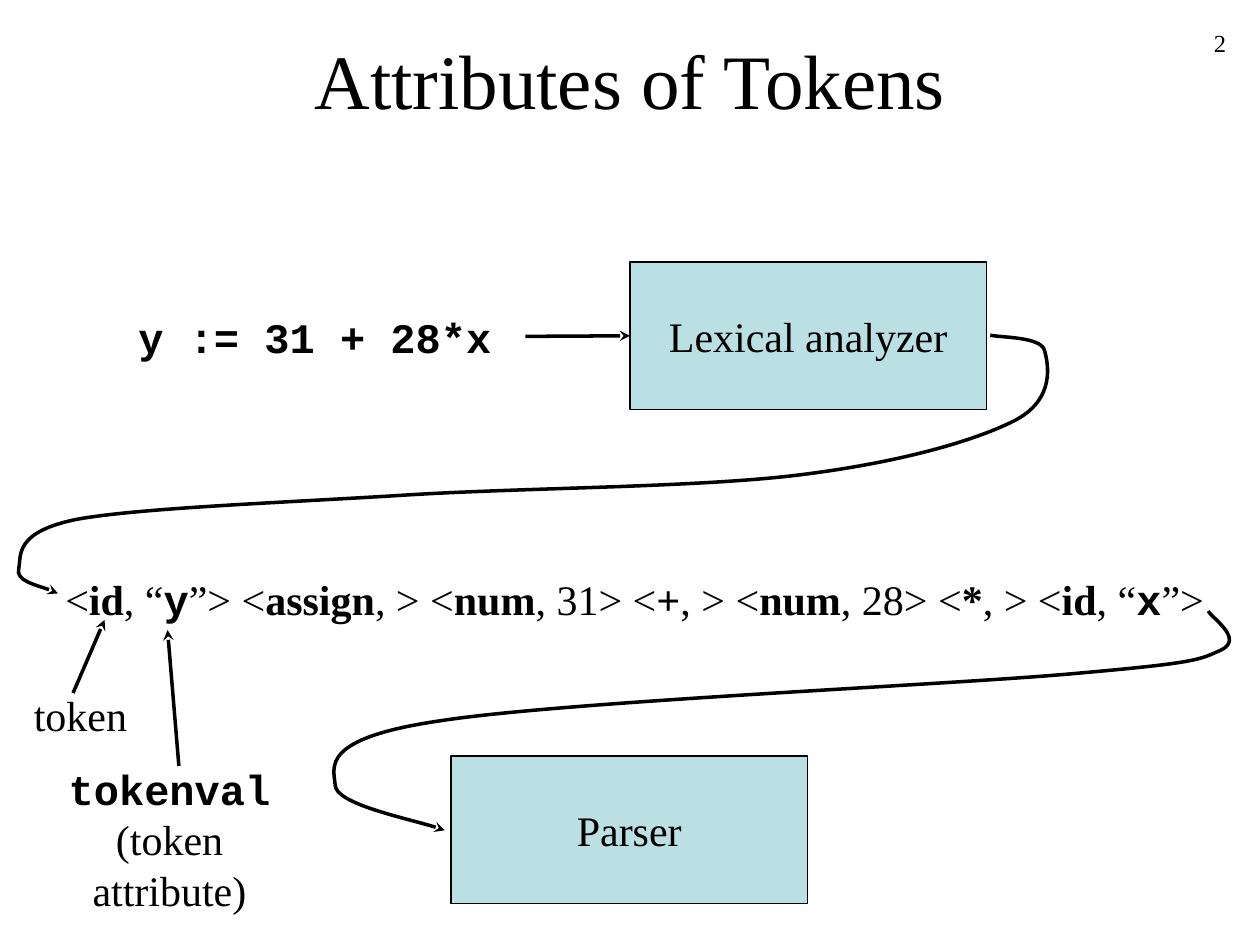
from typing import NamedTuple

from lxml import etree
from pptx import Presentation
from pptx.dml.color import RGBColor
from pptx.enum.shapes import MSO_CONNECTOR, MSO_SHAPE
from pptx.enum.text import MSO_ANCHOR, MSO_AUTO_SIZE, PP_ALIGN
from pptx.oxml.ns import qn
from pptx.util import Inches, Pt

BLACK = RGBColor(0x00, 0x00, 0x00)
PALE_TEAL = RGBColor(0xBB, 0xE0, 0xE3)
SERIF = "Times New Roman"
MONO = "Courier New"
LEFT, CENTER, RIGHT = PP_ALIGN.LEFT, PP_ALIGN.CENTER, PP_ALIGN.RIGHT
MIDDLE = MSO_ANCHOR.MIDDLE
FIT_SHAPE = MSO_AUTO_SIZE.SHAPE_TO_FIT_TEXT
NO_FIT = MSO_AUTO_SIZE.NONE
STRAIGHT = MSO_CONNECTOR.STRAIGHT
RECTANGLE = MSO_SHAPE.RECTANGLE
LEFT_SIDE = 1

Point = tuple[float, float]


class Span(NamedTuple):
    text: str
    font: str = SERIF
    bold: bool = False
    size: int = 24


class Area(NamedTuple):
    left: float
    top: float
    width: float
    height: float


class Label(NamedTuple):
    area: Area
    lines: list[list[Span]]
    align: PP_ALIGN = LEFT


class Stage(NamedTuple):
    name: str
    left: float
    top: float


class Token(NamedTuple):
    name: str
    value: str = ""
    quoted: bool = False


def add_spans(para, lines: list[list[Span]], align: PP_ALIGN) -> None:
    """Write the spans run by run, with a line break between lines."""
    para.alignment = align
    for number, spans in enumerate(lines):
        if number:
            para.add_line_break()
        for span in spans:
            run = para.add_run()
            run.text = span.text
            run.font.name = span.font
            run.font.size = Pt(span.size)
            run.font.bold = span.bold
            run.font.color.rgb = BLACK


def add_label(page, label: Label) -> None:
    box = page.shapes.add_textbox(*map(Inches, label.area))
    box.text_frame.word_wrap = False
    box.text_frame.auto_size = FIT_SHAPE
    add_spans(box.text_frame.paragraphs[0], label.lines, label.align)


def add_stage(page, stage: Stage):
    box = page.shapes.add_shape(
        RECTANGLE, Inches(stage.left), Inches(stage.top), Inches(2.83), Inches(1.17))
    box.shadow.inherit = False
    box.fill.solid()
    box.fill.fore_color.rgb = PALE_TEAL
    box.line.color.rgb = BLACK
    box.line.width = Pt(0.75)
    box.text_frame.word_wrap = False
    box.text_frame.vertical_anchor = MIDDLE
    add_spans(box.text_frame.paragraphs[0], [[Span(stage.name)]], CENTER)
    return box


def style_arrow(shape) -> None:
    """Black 2 pt line with a stealth head at its end."""
    shape.line.color.rgb = BLACK
    shape.line.width = Pt(2)
    line = shape.line._get_or_add_ln()
    etree.SubElement(line, qn("a:tailEnd"), type="stealth")


def add_arrow(page, start: Point, end: Point):
    arrow = page.shapes.add_connector(STRAIGHT, *map(Inches, start + end))
    style_arrow(arrow)
    etree.SubElement(arrow._element.spPr, qn("a:effectLst"))
    return arrow


def add_curved_arrow(page, points: list[Point]) -> None:
    """Draw a chain of Bezier curves: a start, then three points per curve."""
    places = [(Inches(x), Inches(y)) for x, y in points]
    builder = page.shapes.build_freeform(*places[0])
    builder.add_line_segments(places[1:], close=False)
    curve = builder.convert_to_shape()
    curve.shadow.inherit = False
    curve.fill.background()
    style_arrow(curve)
    # Turn every three straight segments into one cubic segment
    segments = list(curve._element.iter(qn("a:lnTo")))
    outline = segments[0].getparent()
    for first in range(0, len(segments), 3):
        cubic = etree.SubElement(outline, qn("a:cubicBezTo"))
        for segment in segments[first:first + 3]:
            cubic.append(segment[0])
            outline.remove(segment)


def token_spans(token: Token) -> list[Span]:
    name = [Span("<"), Span(token.name, bold=True)]
    if token.quoted:
        return name + [Span(", “"), Span(token.value, MONO, True), Span("”>")]
    return name + [Span(f", {token.value}>")]


TOKENS = [
    Token("id", "y", True), Token("assign"), Token("num", "31"), Token("+"),
    Token("num", "28"), Token("*"), Token("id", "x", True),
]

ANALYZER_TO_TOKENS = [
    (7.86, 2.66),
    (7.93, 2.68), (8.26, 2.67), (8.29, 2.78),
    (8.32, 2.89), (8.38, 3.17), (8.05, 3.34),
    (7.73, 3.5), (7.15, 3.67), (6.34, 3.77),
    (5.53, 3.87), (4.16, 3.87), (3.21, 3.93),
    (2.25, 3.99), (1.13, 4.03), (0.62, 4.12),
    (0.11, 4.22), (0.17, 4.41), (0.15, 4.51),
    (0.12, 4.61), (0.39, 4.67), (0.46, 4.71),
]
TOKENS_TO_PARSER = [
    (9.59, 4.85),
    (9.61, 4.9), (9.88, 5.07), (9.69, 5.16),
    (9.51, 5.24), (9.51, 5.26), (8.48, 5.35),
    (7.45, 5.44), (4.47, 5.57), (3.5, 5.72),
    (2.53, 5.86), (2.65, 6.09), (2.66, 6.23),
    (2.66, 6.38), (3.35, 6.52), (3.53, 6.59),
]


def main() -> None:
    deck = Presentation()
    deck.slide_width, deck.slide_height = Inches(10), Inches(7.5)
    page = deck.slides.add_slide(deck.slide_layouts[5])

    # Title and page number
    title = page.shapes.title
    title.left, title.top, title.width, title.height = map(Inches, (0.75, 0, 8.5, 1.25))
    title.text_frame.vertical_anchor = MIDDLE
    title.text_frame.auto_size = NO_FIT
    add_spans(title.text_frame.paragraphs[0], [[Span("Attributes of Tokens", size=44)]], CENTER)
    number = page.shapes.add_textbox(*map(Inches, Area(7.75, 0.17, 2.08, 0.5)))
    number.text_frame.word_wrap = True
    add_spans(number.text_frame.paragraphs[0], [[Span("2", size=14)]], RIGHT)

    # Processing stages
    analyzer = add_stage(page, Stage("Lexical analyzer", 5, 2.08))
    add_stage(page, Stage("Parser", 3.58, 6))

    # Source text, token stream and its captions
    stream = []
    for token in TOKENS:
        if stream:
            stream.append(Span(" "))
        stream += token_spans(token)
    caption = [[Span("tokenval", MONO, True)], [Span("(token attribute)")]]
    for label in (
        Label(Area(0.42, 4.5, 9.24, 0.5), [stream]),
        Label(Area(1, 2.42, 3, 0.5), [[Span("y := 31 + 28*x", MONO, True)]]),
        Label(Area(0.17, 5.42, 0.94, 0.5), [[Span("token")]]),
        Label(Area(0.17, 6.01, 2.35, 0.9), caption, CENTER),
    ):
        add_label(page, label)

    # Flow from source to parser
    source_arrow = add_arrow(page, (4.17, 2.67), (5, 2.67))
    source_arrow.end_connect(analyzer, LEFT_SIDE)
    add_curved_arrow(page, ANALYZER_TO_TOKENS)
    add_curved_arrow(page, TOKENS_TO_PARSER)

    # Pointers from the captions to the first token
    add_arrow(page, (0.58, 5.5), (0.83, 4.92))
    add_arrow(page, (1.42, 6.08), (1.33, 5))

    deck.save("out.pptx")


if __name__ == "__main__":
    main()
